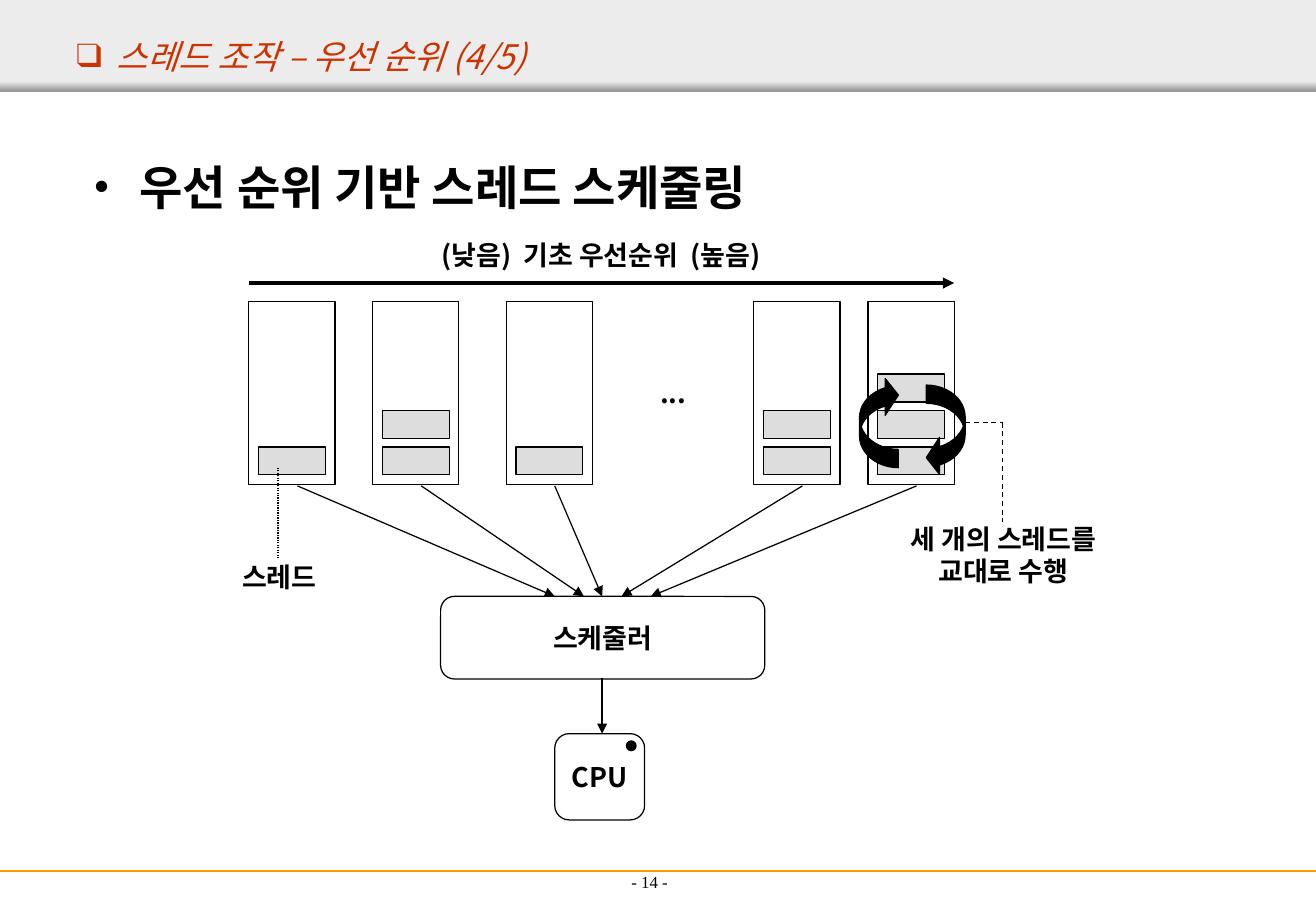
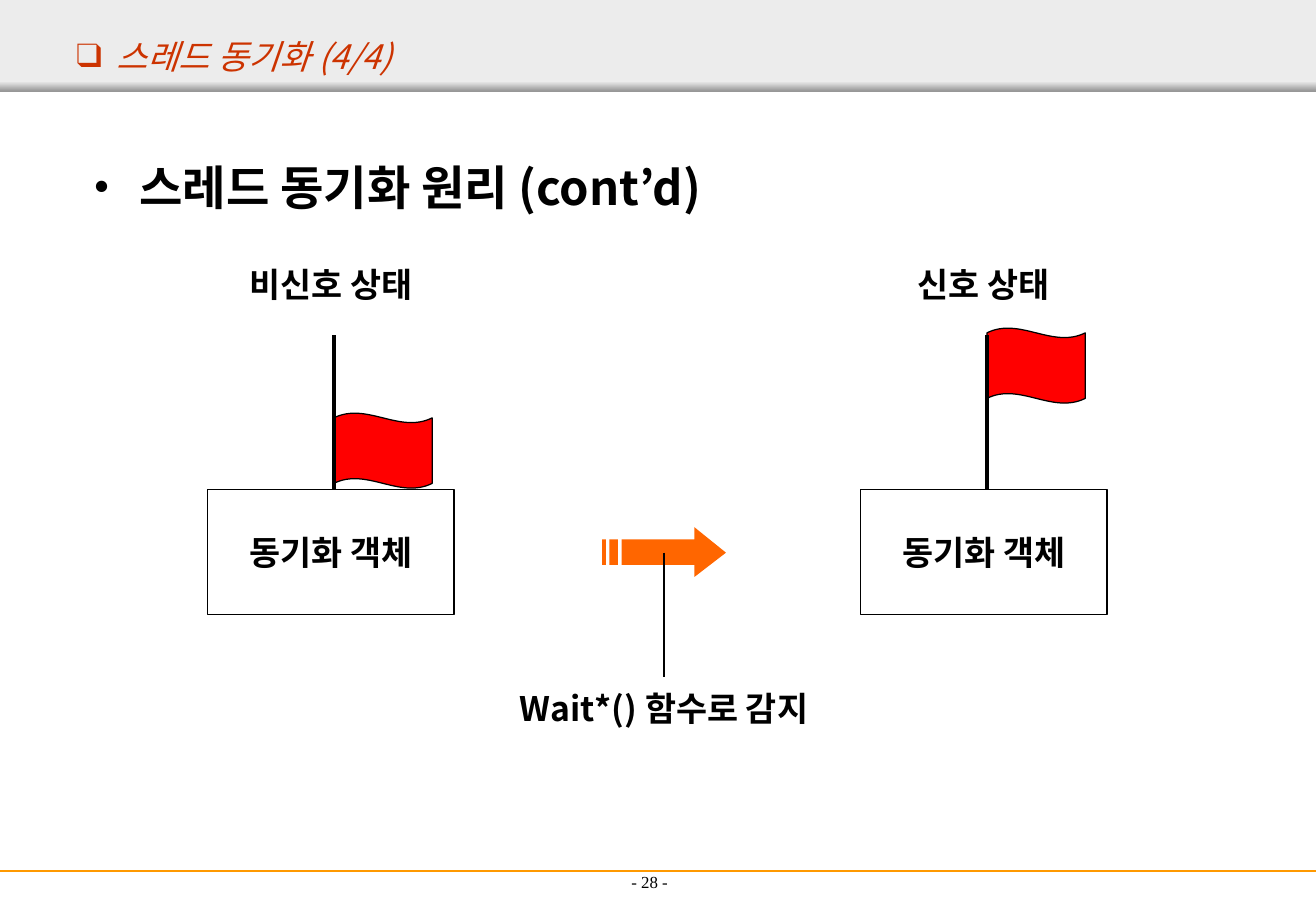
import pptx
import pptx.util
import pptx.dml.color
import pptx.enum.shapes
import pptx.enum.text
import pptx.enum.dml
import pptx.oxml.ns
from lxml import etree

INK = {"black": "000000", "red": "FF0000", "rust": "CC3300", "gold": "FF9900",
       "flame": "FF6600", "pale": "ECECEC", "gray": "979797", "slot": "DDDDDD"}
SANS = "Noto Sans CJK KR"
SERIF = "Times New Roman"
WIDE, HIGH = 10.84, 7.5

PAGES = [
    {"title": "스레드 조작 – 우선 순위 (4/5)", "head": "우선 순위 기반 스레드 스케줄링", "page": 14},
    {"title": "스레드 동기화 (4/4)", "head": "스레드 동기화 원리 (cont’d)", "page": 28},
]

# left edge of each queue, threads waiting in it, where its arrow meets the scheduler
QUEUES = [(2.05, 1, 4.57), (3.07, 2, 4.81), (4.17, 1, 4.96), (6.21, 2, 5.12), (7.15, 3, 5.36)]
QUEUE_TOP, QUEUE_WIDE, QUEUE_HIGH = 2.48, 0.71, 1.51
SLOT_LOW, SLOT_STEP, SLOT_WIDE, SLOT_HIGH = 3.68, 0.3, 0.55, 0.23

# left edge, label, top of the flag
STATES = [(1.71, "비신호 상태", 3.4), (7.09, "신호 상태", 2.7)]
OBJECT_WIDE, OBJECT_HIGH, OBJECT_TOP = 2.03, 1.03, 4.03

FORM = pptx.enum.shapes.MSO_SHAPE
DASH = pptx.enum.dml.MSO_LINE
ALIGN = pptx.enum.text.PP_ALIGN
ANCHOR = pptx.enum.text.MSO_ANCHOR
inch = pptx.util.Inches
point = pptx.util.Pt


def color(name):
    return pptx.dml.color.RGBColor.from_string(INK[name])


def add_tag(parent, tag, **attrs):
    node = etree.SubElement(parent, pptx.oxml.ns.qn(tag))
    for key, value in attrs.items():
        node.set(key, value)
    return node


def style(par, size, ink="black", face=SANS, bold=False, slant=False):
    for run in par.runs:
        font = run.font
        font.size, font.bold, font.italic, font.name = point(size), bold, slant, face
        font.color.rgb = color(ink)
        add_tag(font._element, "a:ea", typeface=face)


def write(shape, text, size=16, face=SANS, bold=True, anchor=ANCHOR.MIDDLE):
    frame = shape.text_frame
    frame.text = text
    frame.word_wrap = False
    frame.vertical_anchor = anchor
    for par in frame.paragraphs:
        par.alignment = ALIGN.CENTER
        style(par, size, face=face, bold=bold)


def label(slide, text, left, top, width, height, **look):
    box = slide.shapes.add_textbox(inch(left), inch(top), inch(width), inch(height))
    write(box, text, **look)
    return box


def paint(shape, fill, line):
    shape.shadow.inherit = False
    if fill:
        shape.fill.solid()
        shape.fill.fore_color.rgb = color(fill)
    else:
        shape.fill.background()
    if line:
        shape.line.color.rgb = color(line)
        shape.line.width = point(0.75)
    else:
        shape.line.fill.background()


def draw(slide, form, left, top, width, height, fill=None, line="black", adjust=()):
    shape = slide.shapes.add_shape(form, inch(left), inch(top), inch(width), inch(height))
    paint(shape, fill, line)
    for i, value in enumerate(adjust):
        shape.adjustments[i] = value
    return shape


def link(slide, start, end, width=0.75, ink="black", head=False, dash=None):
    line = slide.shapes.add_connector(
        pptx.enum.shapes.MSO_CONNECTOR.STRAIGHT, *map(inch, start + end))
    line.line.color.rgb = color(ink)
    line.line.width = point(width)
    if dash:
        line.line.dash_style = dash
    if head:
        add_tag(line.line._get_or_add_ln(), "a:tailEnd", type="triangle")
    add_tag(line._element.spPr, "a:effectLst")
    return line


def fill_holder(holder, place, text, mark, ink, indent, anchor, **look):
    """Move a placeholder and give it one bulleted line."""
    holder.left, holder.top, holder.width, holder.height = map(inch, place)
    frame = holder.text_frame
    frame.text = text
    frame.vertical_anchor = anchor
    par = frame.paragraphs[0]
    props = par._p.get_or_add_pPr()
    props.set("marL", str(inch(indent)))
    props.set("indent", str(-inch(indent)))
    add_tag(add_tag(props, "a:buClr"), "a:srgbClr", val=INK[ink])
    add_tag(props, "a:buFont", typeface=SERIF)
    add_tag(props, "a:buChar", char=mark)
    par.alignment = ALIGN.LEFT
    par.space_before = point(0)
    style(par, ink=ink, **look)


def add_bands(slide, layout):
    """Draw the shared bands and rule, then move them to the back of the layout."""
    band = draw(slide, FORM.RECTANGLE, 0, 0, WIDE, 0.75, "pale", None)
    shade = draw(slide, FORM.RECTANGLE, 0, 0.67, WIDE, 0.08, None, None)
    shade.fill.gradient()
    shade.fill.gradient_angle = 270
    for stop, name in zip(shade.fill.gradient_stops, ("pale", "gray")):
        stop.color.rgb = color(name)
    rule = link(slide, (0, 7.17), (WIDE, 7.17), 1.5, "gold")
    for i, part in enumerate((band, shade, rule)):
        layout.shapes._spTree.insert(2 + i, part._element)


def add_page(deck, layout, title, head, page):
    slide = deck.slides.add_slide(layout)
    if len(deck.slides) == 1:
        add_bands(slide, layout)
    fill_holder(slide.shapes.title, (0.53, 0.25, 10.31, 0.42), title, "❑", "rust", 0.33,
                ANCHOR.MIDDLE, size=20, slant=True)
    fill_holder(slide.placeholders[1], (0.67, 1.25, 9.5, 5.44), head, "•", "black", 0.38,
                ANCHOR.TOP, size=28, bold=True)
    label(slide, f"- {page} -", 3.69, 6.89, 3.32, 0.5, size=10, face=SERIF, bold=False,
          anchor=ANCHOR.BOTTOM)
    return slide


def draw_queues(slide):
    for left, count, _ in QUEUES:
        draw(slide, FORM.RECTANGLE, left, QUEUE_TOP, QUEUE_WIDE, QUEUE_HIGH)
        for i in range(count):
            draw(slide, FORM.RECTANGLE, left + (QUEUE_WIDE - SLOT_WIDE) / 2,
                 SLOT_LOW - i * SLOT_STEP, SLOT_WIDE, SLOT_HIGH, "slot")
    label(slide, "...", 5.19, QUEUE_TOP, QUEUE_WIDE, QUEUE_HIGH)
    label(slide, "(낮음)  기초 우선순위  (높음)", 3.25, 1.95, 3.4, 0.3)
    link(slide, (QUEUES[0][0], 2.33), (QUEUES[-1][0] + QUEUE_WIDE, 2.33), 2.25, head=True)


def draw_plan(slide):
    draw_queues(slide)
    write(draw(slide, FORM.ROUNDED_RECTANGLE, 3.63, 4.91, 2.67, 0.68), "스케줄러")
    for left, _, goal in QUEUES:
        link(slide, (left + 0.4, 4), (goal, 4.91), head=True)
    write(draw(slide, FORM.ROUNDED_RECTANGLE, 4.57, 6.04, 0.74, 0.71), "CPU")
    draw(slide, FORM.OVAL, 5.16, 6.1, 0.08, 0.08, "black")
    link(slide, (4.96, 5.58), (4.96, 6.04), 1, head=True)

    label(slide, "스레드", 1.67, 4.6, 1.26, 0.3)
    link(slide, (2.29, 3.85), (2.29, 4.6), dash=DASH.ROUND_DOT)

    for left, top, turn in ((7.63, 3.17, 0), (7.08, 3.1, 180)):
        arc = draw(slide, FORM.CURVED_LEFT_ARROW, left, top, 0.32, 0.75, "black",
                   adjust=(0.47, 0.95, 0.34))
        arc.rotation = turn
    label(slide, "세 개의 스레드를\n교대로 수행", 7.36, 4.34, 1.81, 0.45)
    bend = (8.26, 3.48)
    link(slide, (7.95, 3.48), bend, dash=DASH.DASH)
    link(slide, bend, (8.26, 4.3), dash=DASH.DASH)


def draw_arrow(slide, left, top):
    """Draw a right arrow with two stripes at its tail, in hundredths of an inch."""
    high, low = 10, 31
    parts = [
        [(16, high), (76, high), (76, 0), (102, 21), (76, 41), (76, low), (16, low)],
        *[[(a, high), (b, high), (b, low), (a, low)] for a, b in ((0, 3), (6, 13))],
    ]
    pen = slide.shapes.build_freeform(*parts[0][0], scale=inch(0.01))
    for i, part in enumerate(parts):
        if i:
            pen.move_to(*part[0])
        pen.add_line_segments(part[1:], close=True)
    paint(pen.convert_to_shape(inch(left), inch(top)), "flame", None)


def draw_states(slide):
    for left, text, flag in STATES:
        box = draw(slide, FORM.RECTANGLE, left, OBJECT_TOP, OBJECT_WIDE, OBJECT_HIGH)
        write(box, "동기화 객체", 20)
        pole = left + 1.04
        draw(slide, FORM.WAVE, pole, flag, 0.81, 0.62, "red", adjust=(0.065, 0))
        link(slide, (pole, OBJECT_TOP), (pole, 2.76), 2.25)
        label(slide, text, left, 2.08, OBJECT_WIDE, 0.51, size=20)
    draw_arrow(slide, 4.96, 4.34)
    link(slide, (5.47, 4.55), (5.47, 5.57))
    label(slide, "Wait*() 함수로 감지", 3.87, 5.57, 3.2, 0.51, size=20)


def main():
    deck = pptx.Presentation()
    deck.slide_width, deck.slide_height = inch(WIDE), inch(HIGH)
    layout = deck.slide_layouts[1]
    for page, body in zip(PAGES, (draw_plan, draw_states)):
        body(add_page(deck, layout, **page))
    deck.save("out.pptx")


if __name__ == "__main__":
    main()
